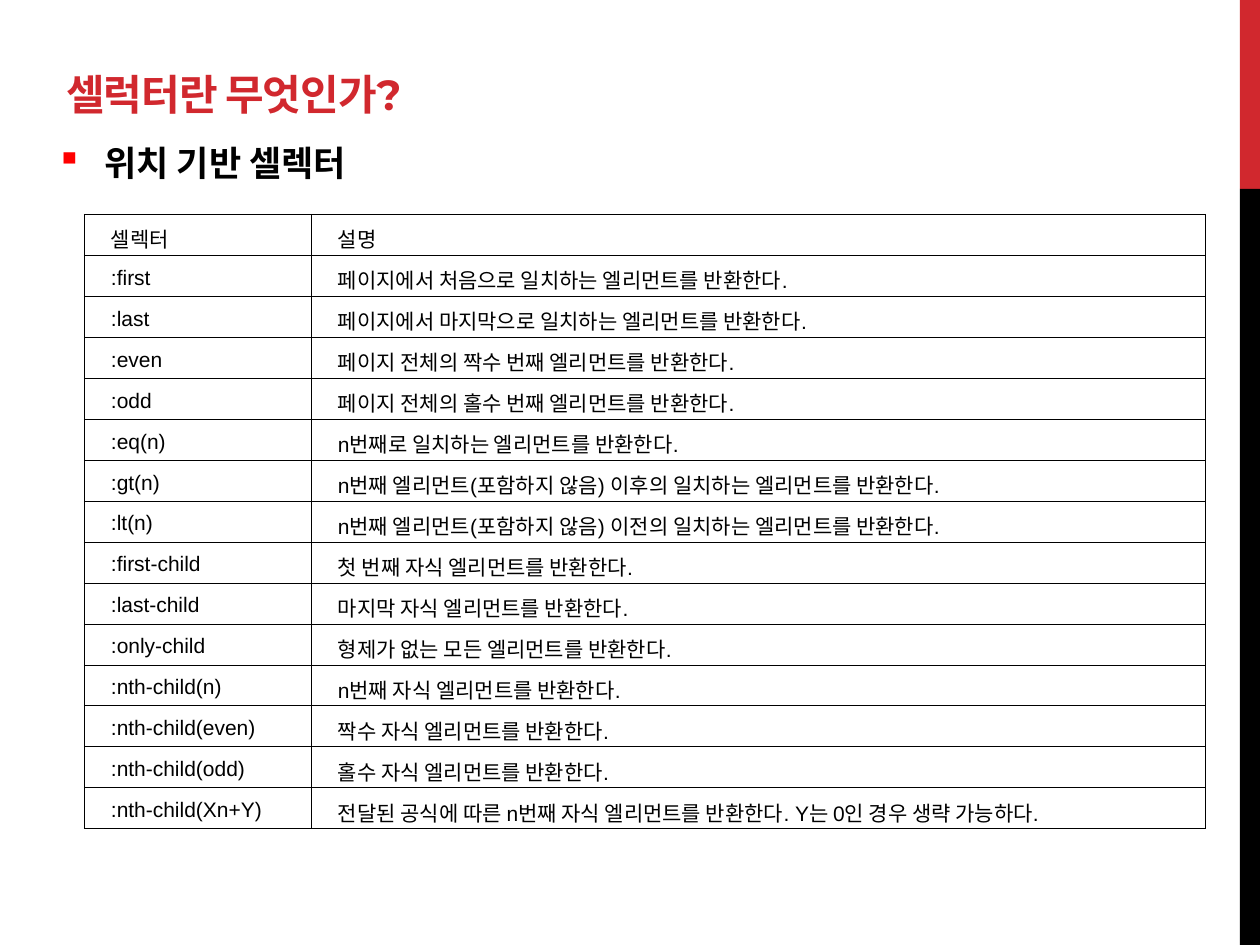
from lxml import etree
from pptx import Presentation, util as u
from pptx.dml.color import RGBColor
from pptx.enum import shapes, text
from pptx.oxml import ns

PX = 914400 // 126
RED = RGBColor(0xD1, 0x28, 0x2E)
BLACK = RGBColor(0, 0, 0)

ROWS = [
    ("셀렉터", "설명"),
    (":first", "페이지에서 처음으로 일치하는 엘리먼트를 반환한다."),
    (":last", "페이지에서 마지막으로 일치하는 엘리먼트를 반환한다."),
    (":even", "페이지 전체의 짝수 번째 엘리먼트를 반환한다."),
    (":odd", "페이지 전체의 홀수 번째 엘리먼트를 반환한다."),
    (":eq(n)", "n번째로 일치하는 엘리먼트를 반환한다."),
    (":gt(n)", "n번째 엘리먼트(포함하지 않음) 이후의 일치하는 엘리먼트를 반환한다."),
    (":lt(n)", "n번째 엘리먼트(포함하지 않음) 이전의 일치하는 엘리먼트를 반환한다."),
    (":first-child", "첫 번째 자식 엘리먼트를 반환한다."),
    (":last-child", "마지막 자식 엘리먼트를 반환한다."),
    (":only-child", "형제가 없는 모든 엘리먼트를 반환한다."),
    (":nth-child(n)", "n번째 자식 엘리먼트를 반환한다."),
    (":nth-child(even)", "짝수 자식 엘리먼트를 반환한다."),
    (":nth-child(odd)", "홀수 자식 엘리먼트를 반환한다."),
    (":nth-child(Xn+Y)", "전달된 공식에 따른 n번째 자식 엘리먼트를 반환한다. Y는 0인 경우 생략 가능하다."),
]
COLUMN_WIDTHS = (227, 894)
ROW_HEIGHT = 41

presentation = Presentation()
presentation.slide_width = u.Inches(10)
presentation.slide_height = u.Inches(7.5)
slide = presentation.slides.add_slide(presentation.slide_layouts[6])


def add_heading(left, top, width, height, wording, font_name, size, color):
    box = slide.shapes.add_textbox(left * PX, top * PX, width * PX, height * PX)
    box.text_frame.word_wrap = True
    paragraph = box.text_frame.paragraphs[0]
    paragraph.text = wording
    font = paragraph.runs[0].font
    font.name, font.size, font.bold = font_name, u.Pt(size), True
    font.color.rgb = color
    return box


def add_child(parent, tag, **attributes):
    return etree.SubElement(parent, ns.qn(tag), attributes)


# Side bars
for top, height, color in ((0, 189, RED), (189, 756, BLACK)):
    bar = slide.shapes.add_shape(
        shapes.MSO_SHAPE.RECTANGLE, 1240 * PX, top * PX, 20 * PX, height * PX)
    bar.shadow.inherit = False
    bar.fill.solid()
    bar.fill.fore_color.rgb = color
    bar.line.fill.background()

# Title
title = add_heading(54, 45, 1172, 80, "셀럭터란 무엇인가?", "Montserrat", 24, RED)
title.text_frame.vertical_anchor = text.MSO_ANCHOR.BOTTOM
title.text_frame.paragraphs[0].runs[0].font._element.set("spc", "-60")

# Bulleted subtitle
subtitle = add_heading(44, 135, 1142, 70, "위치 기반 셀렉터", "Arial", 20, BLACK)
paragraph = subtitle.text_frame.paragraphs[0]
paragraph.space_after = u.Pt(6)
properties = paragraph._p.get_or_add_pPr()
properties.set("marL", str(48 * PX))
properties.set("indent", str(-48 * PX))
add_child(add_child(properties, "a:buClr"), "a:srgbClr", val="FF0000")
add_child(properties, "a:buChar", char="▪")

# Selector table
table = slide.shapes.add_table(
    len(ROWS), len(COLUMN_WIDTHS), 84 * PX, 214 * PX,
    sum(COLUMN_WIDTHS) * PX, len(ROWS) * ROW_HEIGHT * PX).table
table.first_row = table.horz_banding = False
for column, width in zip(table.columns, COLUMN_WIDTHS):
    column.width = width * PX
for row, wordings in zip(table.rows, ROWS):
    row.height = ROW_HEIGHT * PX
    for cell, wording in zip(row.cells, wordings):
        cell.vertical_anchor = text.MSO_ANCHOR.MIDDLE
        cell.margin_left = cell.margin_right = 9 * PX
        cell.margin_top = cell.margin_bottom = 3 * PX
        cell_properties = cell._tc.get_or_add_tcPr()
        for side in ("a:lnL", "a:lnR", "a:lnT", "a:lnB"):
            border = add_child(cell_properties, side, w=str(u.Pt(0.28)))
            add_child(add_child(border, "a:solidFill"), "a:srgbClr", val=str(BLACK))
        cell.fill.background()

        paragraph = cell.text_frame.paragraphs[0]
        paragraph.text = wording
        paragraph.alignment = text.PP_ALIGN.JUSTIFY
        paragraph.line_spacing = 1.2
        paragraph._p.get_or_add_pPr().set("indent", str(18 * PX))
        font = paragraph.runs[0].font
        font.name, font.size = "Arial", u.Pt(12)
        font.color.rgb = BLACK

presentation.save("out.pptx")
